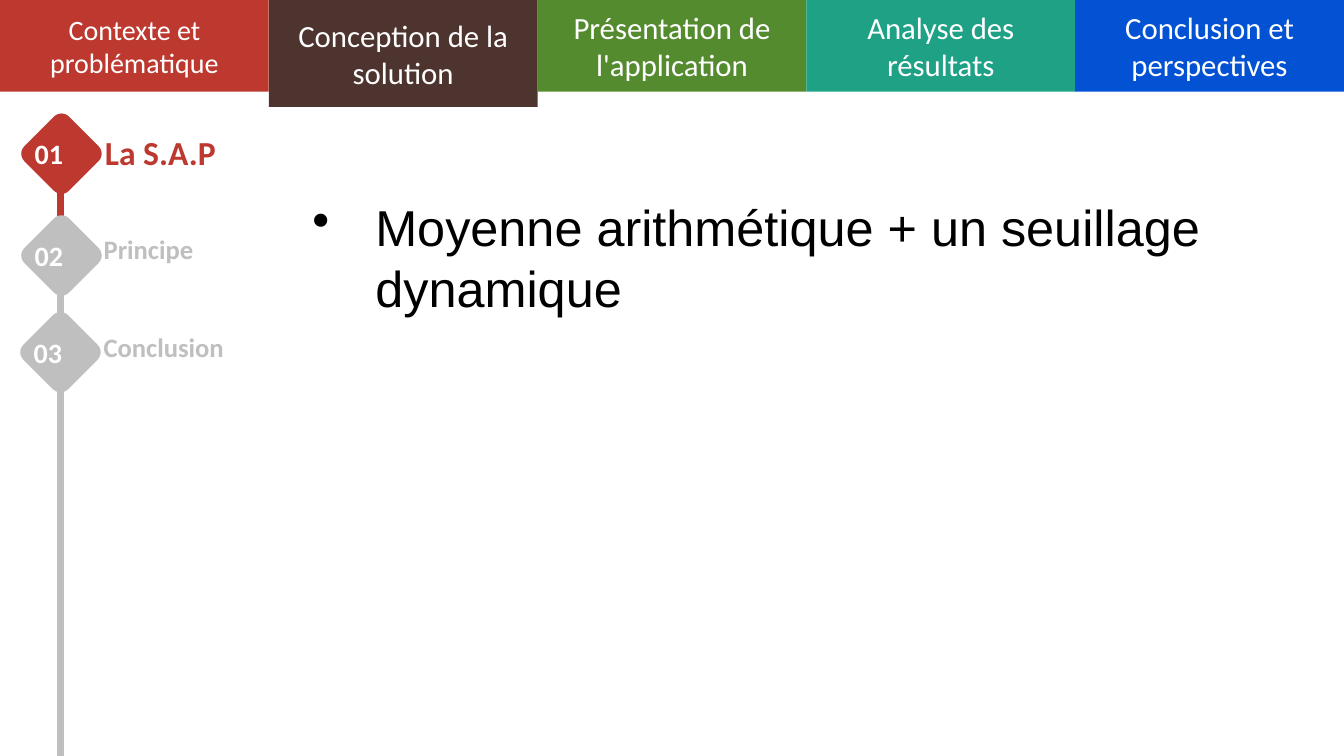
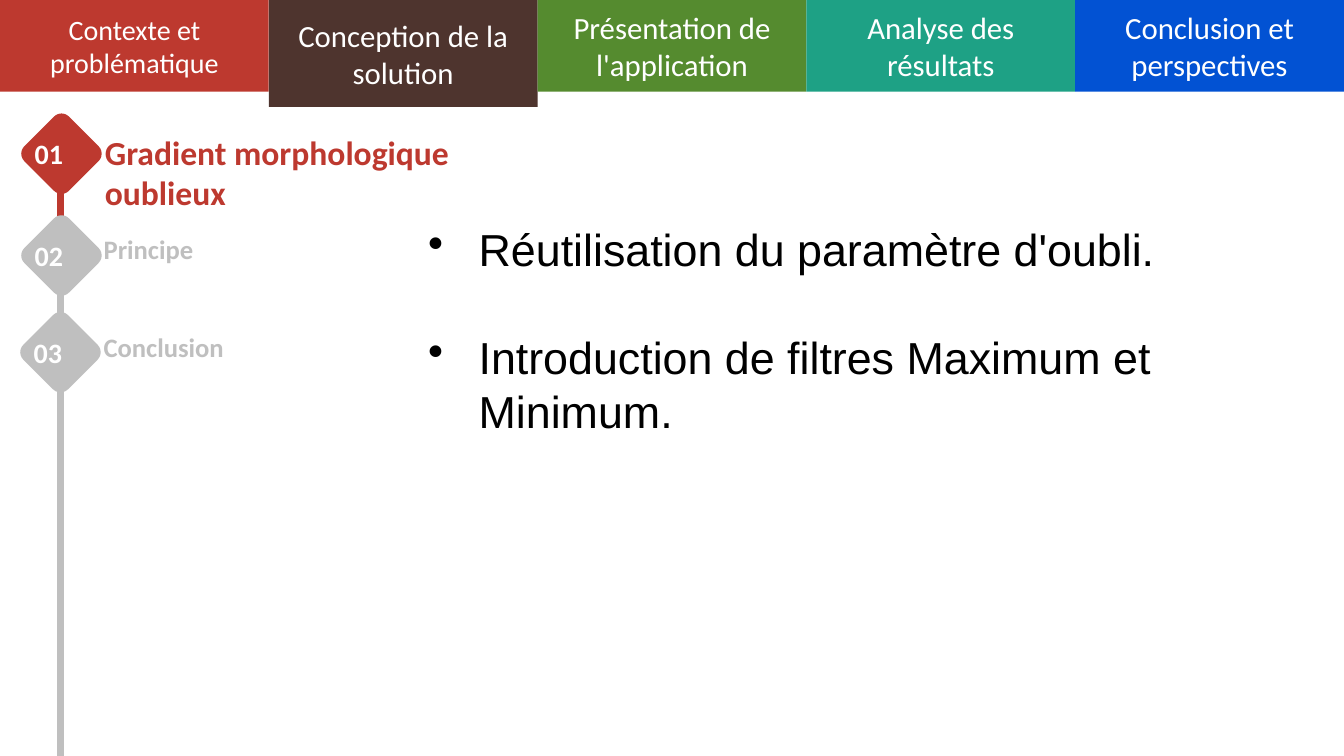
import pptx
import pptx.util
import pptx.dml.color
import pptx.enum.shapes
import pptx.enum.text
import pptx.oxml.ns
from lxml import etree

Pt = pptx.util.Pt
SHAPE = pptx.enum.shapes.MSO_SHAPE
ALIGN = pptx.enum.text.PP_ALIGN
ANCHOR = pptx.enum.text.MSO_ANCHOR
qn = pptx.oxml.ns.qn

# Content
HEX = {"red": "BD392F", "grey": "BFBFBF", "brown": "4E342E", "green": "558B2F",
       "teal": "1EA185", "blue": "0252D3", "white": "FFFFFF", "black": "000000"}

TABS = [("Contexte et problématique", "red", 20),
        ("Conception de la solution", "brown", 22),
        ("Présentation de l'application", "green", 22),
        ("Analyse des résultats", "teal", 22),
        ("Conclusion et perspectives", "blue", 22)]
ACTIVE = 1

# Step number, diamond centre (x, y), colour
STEPS = [("01", 43.9, 109.8, "red"),
         ("02", 43.9, 182.5, "grey"),
         ("03", 43.2, 251.6, "grey")]
LABELS = [("Principe", 162.7), ("Conclusion", 232.6)]

SLIDES = [
    {"title": "La S.A.P", "head": (67.7, 90.7, 175, 36),
     "body": (216, 136.8, 692, 93.6), "size": 36, "hang": 45,
     "points": ["Moyenne arithmétique + un seuillage dynamique"]},
    {"title": "Gradient morphologique oublieux", "head": (67.7, 90.7, 323.3, 64.8),
     "body": (298.8, 154.8, 643, 160.6), "size": 32, "hang": 36,
     "points": ["Réutilisation du paramètre d'oubli.",
                "Introduction de filtres Maximum et Minimum."]},
]

# Sizes
WIDE, HIGH = 960, 540
TAB_H, TALL_H = 65.5, 76.3
SIDE = 45
RAIL_X = 43.2
LINE_GAP = 1.22


def rgb(name):
    return pptx.dml.color.RGBColor.from_string(HEX[name])


def style(frame, size, color, bold=False, align=ALIGN.LEFT, font="Calibri"):
    for para in frame.paragraphs:
        para.alignment = align
        for run in para.runs:
            run.font.size, run.font.name = Pt(size), font
            run.font.bold, run.font.color.rgb = bold, rgb(color)


def block(slide, kind, box, color):
    shape = slide.shapes.add_shape(kind, *map(Pt, box))
    shape.shadow.inherit = False
    shape.fill.solid()
    shape.fill.fore_color.rgb = rgb(color)
    shape.line.fill.background()
    return shape


def label(slide, box, text, size, color, **kind):
    frame = slide.shapes.add_textbox(*map(Pt, box)).text_frame
    frame.word_wrap = True
    frame.text = text
    style(frame, size, color, **kind)
    return frame


def rail(slide, top, end, color):
    line = slide.shapes.add_connector(
        pptx.enum.shapes.MSO_CONNECTOR.STRAIGHT,
        Pt(RAIL_X), Pt(top), Pt(RAIL_X), Pt(end))
    line.line.width, line.line.color.rgb = Pt(5), rgb(color)
    etree.SubElement(line._element.spPr, qn("a:effectLst"))


def add_title(slide, text, box):
    title = slide.shapes.title
    title.left, title.top, title.width, title.height = map(Pt, box)
    frame = title.text_frame
    frame.text = text
    frame.word_wrap = True
    frame.auto_size = pptx.enum.text.MSO_AUTO_SIZE.NONE
    frame.vertical_anchor = ANCHOR.TOP
    style(frame, 24, "red", bold=True)


def add_tabs(slide):
    width = WIDE / len(TABS)
    for i, (text, color, size) in enumerate(TABS):
        high = TALL_H if i == ACTIVE else TAB_H
        tab = block(slide, SHAPE.RECTANGLE, (i * width, 0, width, high), color)
        frame = tab.text_frame
        frame.text = text
        frame.vertical_anchor = ANCHOR.MIDDLE
        style(frame, size, "white", align=ALIGN.CENTER)


def add_steps(slide):
    rail(slide, 136.8, STEPS[1][2], "red")
    rail(slide, 195.8, HIGH, "grey")
    for text, x, y, color in STEPS:
        box = (x - SIDE / 2, y - SIDE / 2, SIDE, SIDE)
        block(slide, SHAPE.ROUNDED_RECTANGLE, box, color).rotation = 45
        frame = label(slide, (x - 27, y - 16, 36, 32), text, 20, "white",
                      bold=True, align=ALIGN.CENTER)
        frame.margin_left = frame.margin_right = 0
        frame.vertical_anchor = ANCHOR.MIDDLE
    for text, top in LABELS:
        label(slide, (67, top, 150, 30), text, 19, "grey", bold=True)


def add_body(slide, page):
    size, hang = page["size"], page["hang"]
    frame = label(slide, page["body"], "\n".join(page["points"]),
                  size, "black", font="Arial")
    for i, para in enumerate(frame.paragraphs):
        props = para._p.get_or_add_pPr()
        props.set("marL", str(Pt(hang)))
        props.set("indent", str(-Pt(hang)))
        etree.SubElement(props, qn("a:buChar")).set("char", "•")
        if i:
            para.space_before = Pt(round(size * LINE_GAP))


def main():
    deck = pptx.Presentation()
    deck.slide_width, deck.slide_height = Pt(WIDE), Pt(HIGH)
    for page in SLIDES:
        slide = deck.slides.add_slide(deck.slide_layouts[5])
        add_title(slide, page["title"], page["head"])
        add_steps(slide)
        add_tabs(slide)
        add_body(slide, page)
    deck.save("out.pptx")


if __name__ == "__main__":
    main()
